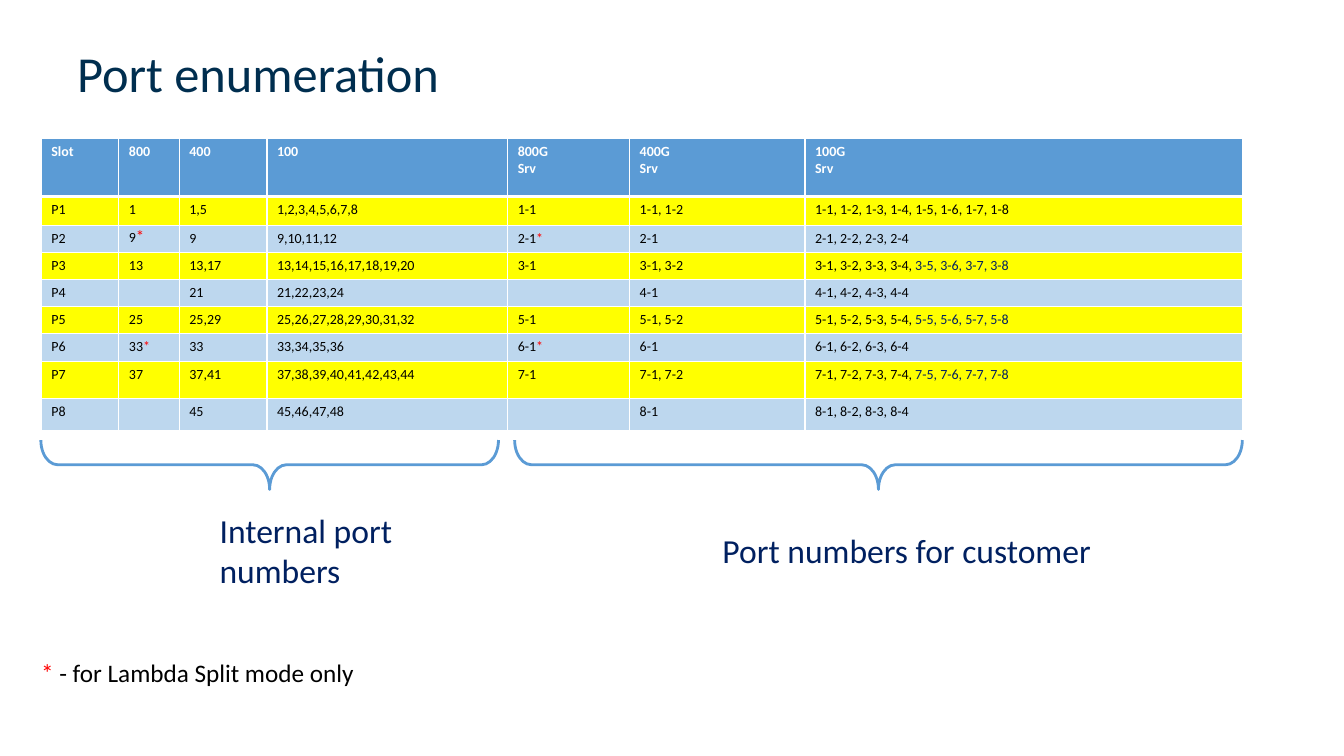
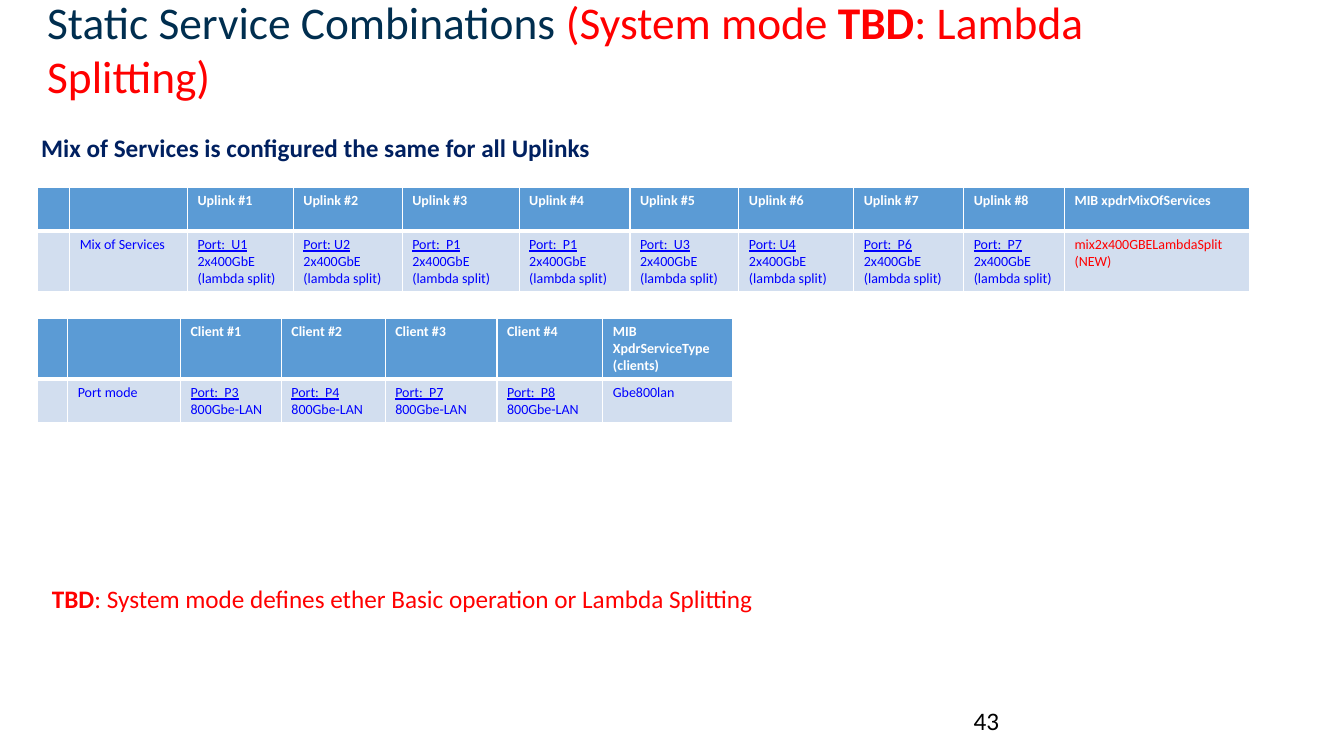
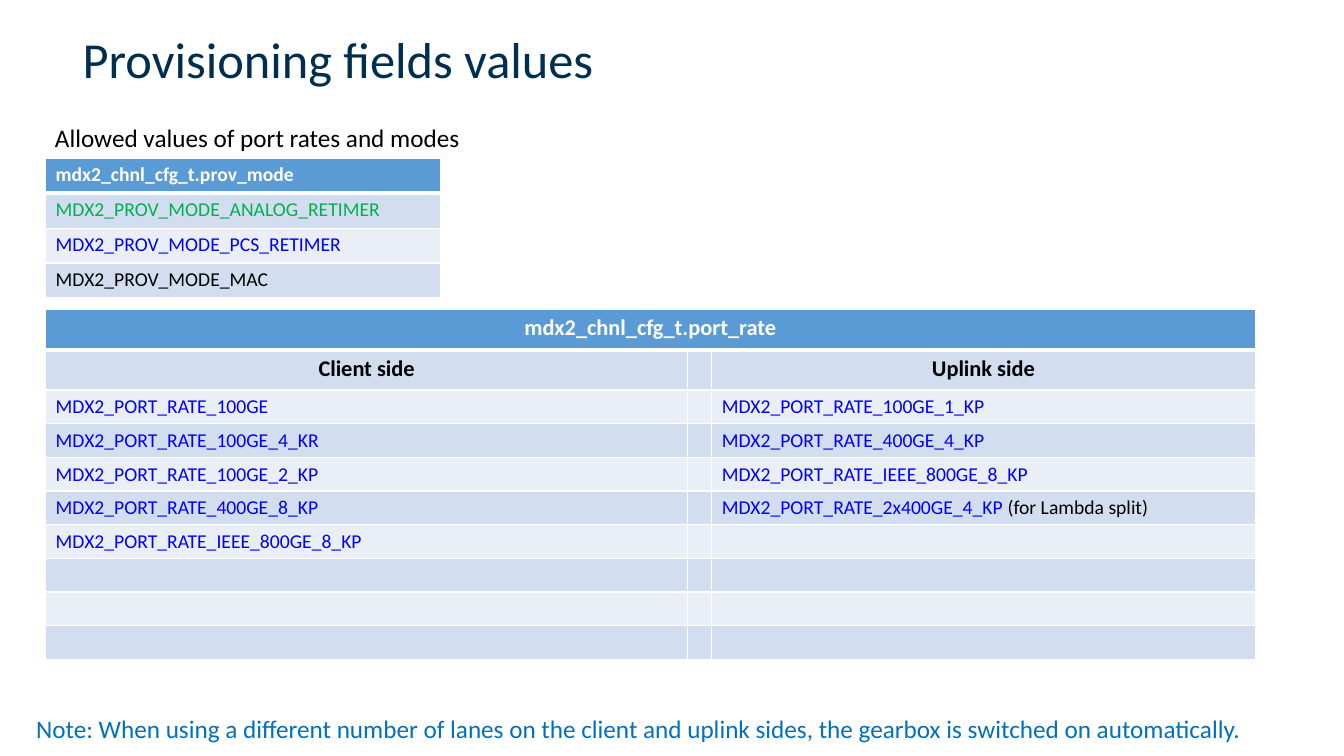
import lxml.etree
import pptx
import pptx.dml.color
import pptx.enum.shapes
import pptx.enum.text
import pptx.oxml.ns
import pptx.util

Pt = pptx.util.Pt
qn = pptx.oxml.ns.qn
PP_ALIGN = pptx.enum.text.PP_ALIGN
MSO_ANCHOR = pptx.enum.text.MSO_ANCHOR

FONT = "Calibri"
WHITE, BLACK, RED, GREEN = "FFFFFF", "000000", "FF0000", "00B050"
TITLE, NAVY, LINK, NOTE = "002E4F", "002060", "0000FF", "0070C0"
HEADER, BAND_DARK, BAND_LIGHT = "5B9BD5", "D2DEEF", "EAEFF7"
YELLOW, SKY = "FFFF00", "BDD7EE"


def rgb(value):
    return pptx.dml.color.RGBColor.from_string(value)


def write_text(tf, paragraphs, size=18, color=BLACK, bold=False, underline=False,
               align=PP_ALIGN.LEFT, spacing=None):
    """A paragraph is a string or a list of runs; a run is a string or (string, overrides)."""
    if isinstance(paragraphs, str):
        paragraphs = [paragraphs]
    for i, runs in enumerate(paragraphs):
        p = tf.paragraphs[0] if i == 0 else tf.add_paragraph()
        p.alignment = align
        if spacing:
            p.line_spacing = Pt(spacing)
        for run in [runs] if isinstance(runs, str) else runs:
            text, extra = (run, {}) if isinstance(run, str) else run
            if not text:
                lxml.etree.SubElement(p._p, qn("a:endParaRPr"), sz=str(size * 100))
                continue
            fmt = {"size": size, "color": color, "bold": bold, "underline": underline, **extra}
            r = p.add_run()
            r.text = text
            r.font.name = FONT
            r.font.size = Pt(fmt["size"])
            r.font.bold = fmt["bold"]
            r.font.underline = fmt["underline"]
            r.font.color.rgb = rgb(fmt["color"])


def add_text(s, x, y, w, h, paragraphs, wrap=False, fill=None, anchor=MSO_ANCHOR.TOP, **fmt):
    sp = s.shapes.add_textbox(Pt(x), Pt(y), Pt(w), Pt(h))
    tf = sp.text_frame
    tf.word_wrap = wrap
    tf.vertical_anchor = anchor
    if fill:
        sp.fill.solid()
        sp.fill.fore_color.rgb = rgb(fill)
    write_text(tf, paragraphs, **fmt)


def add_title(s, x, y, w, h, runs, size=36):
    add_text(s, x, y, w, h, [runs], wrap=True, anchor=MSO_ANCHOR.MIDDLE, size=size, color=TITLE)


def set_border(cell, side, width):
    ln = lxml.etree.SubElement(cell._tc.get_or_add_tcPr(), qn("a:ln" + side),
                               w=str(Pt(width)))
    fill = lxml.etree.SubElement(ln, qn("a:solidFill"))
    lxml.etree.SubElement(fill, qn("a:srgbClr"), val=WHITE)


def add_table(s, x, y, widths, heights, rows):
    """Each row is (fill, text format, cell texts); the first is ruled off by a thick line."""
    table = s.shapes.add_table(len(rows), len(widths), Pt(x), Pt(y),
                               Pt(sum(widths)), Pt(sum(heights))).table
    table.first_row = table.horz_banding = False
    for column, width in zip(table.columns, widths):
        column.width = Pt(width)
    for i, (fill, fmt, texts) in enumerate(rows):
        table.rows[i].height = Pt(heights[i])
        for j, text in enumerate(texts):
            cell = table.cell(i, j)
            set_border(cell, "L", 1)
            set_border(cell, "R", 1)
            if i == 0:
                set_border(cell, "T", 1)
            set_border(cell, "B", 3 if i == 0 else 1)
            cell.fill.solid()
            cell.fill.fore_color.rgb = rgb(fill)
            write_text(cell.text_frame, text, **fmt)
    return table


def add_bottom_brace(s, x, y, w, h):
    """A brace that lies under the area from x to x + w and points down."""
    sp = s.shapes.add_shape(pptx.enum.shapes.MSO_SHAPE.LEFT_BRACE, Pt(x + (w - h) / 2),
                            Pt(y + (h - w) / 2), Pt(h), Pt(w))
    sp.rotation = 270
    sp.adjustments[0] = 0.34
    sp.adjustments[1] = 0.5
    sp.shadow.inherit = False
    sp.fill.background()
    sp.line.color.rgb = rgb(HEADER)
    sp.line.width = Pt(2)


def header_format(size, **extra):
    return {"size": size, "color": WHITE, "bold": True, **extra}


def port_row(slot, first):
    """Odd slots have eight 100G ports, even slots four; slots 2 and 6 run 800G in split mode."""
    odd = slot % 2 == 1
    count = 8 if odd else 4
    star = {"color": RED}
    if odd:
        internal_800, service_800 = str(first), f"{slot}-1"
    elif slot % 4 == 2:
        internal_800 = [[str(first), ("*", {**star, "size": 12} if slot == 2 else star)]]
        service_800 = [[f"{slot}-1", ("*", star)]]
    else:
        internal_800 = service_800 = ""
    ports = range(first, first + count)
    services = [f"{slot}-{n}" for n in range(1, count + 1)]
    services_100 = ", ".join(services)
    if odd and slot > 1:
        services_100 = [[", ".join(services[:4]) + ", ",
                         (", ".join(services[4:]), {"color": NAVY})]]
    cells = [f"P{slot}", internal_800, ",".join(map(str, ports[::4])), ",".join(map(str, ports)),
             service_800, ", ".join(services[:count // 4]), services_100]
    return YELLOW if odd else SKY, {"size": 10, "spacing": 12}, cells


def port_enumeration(s):
    add_title(s, 48, 16, 748, 71, ["Port enumeration"])
    headings = ["Slot", "800", "400", "100"] + [[rate, "Srv"] for rate in ("800G", "400G", "100G")]
    rows = [(HEADER, header_format(10, spacing=12), headings)]
    first = 1
    for slot in range(1, 9):
        rows.append(port_row(slot, first))
        first += 8 if slot % 2 else 4
    add_table(s, 29.5, 98.8, [55.4, 43.2, 62.6, 172, 87.1, 125.3, 312.5],
              [41.6, 20.6, 18.8, 19.4, 19.6, 19.2, 20, 26.4, 23], rows)
    for x, w in ((29.2, 326.9), (367.6, 519.8)):
        add_bottom_brace(s, x, 314.3, w, 35.3)
    label = {"size": 24, "color": NAVY, "fill": WHITE}
    add_text(s, 149.8, 360.7, 144, 65.5, ["Internal port", "numbers"], **label)
    add_text(s, 509, 375, 280, 36, "Port numbers for customer", **label)
    add_text(s, 22.3, 465.8, 240.5, 29, [[("*", {"color": RED}), " - for Lambda Split mode only"]])


def service_table(s, y, widths, heights, headings, cells):
    add_table(s, 26.8, y, widths, heights,
              [(HEADER, header_format(10), ["", "", *headings]),
               (BAND_DARK, {"size": 10, "color": LINK}, ["", *cells])])


def port_cell(port, mode):
    return [[(port, {"underline": True})], mode]


def service_combinations(s):
    add_text(s, 688.3, 500.4, 224, 29, "43", wrap=True)
    add_title(s, 26.6, 10.8, 874, 47.5,
              ["Static Service Combinations ", ("(System mode ", {"color": RED}),
               ("TBD", {"color": RED, "bold": True}), (": Lambda Splitting)", {"color": RED})],
              size=32.4)
    uplinks = ["Port:  U1", "Port: U2", "Port:  P1", "Port:  P1",
               "Port:  U3", "Port: U4", "Port:  P6", "Port:  P7"]
    service_table(s, 134, [23, 84.2, 75.6, 77.8, 83.5, 79.2, 77.8, 82.1, 78.5, 72, 132.5],
                  [31, 43.2],
                  [f"Uplink #{n}" for n in range(1, 9)] + ["MIB xpdrMixOfServices"],
                  ["Mix of Services"] + [port_cell(u, "2x400GbE (lambda split)") for u in uplinks]
                  + [[[(line, {"color": RED})] for line in ("mix2x400GBELambdaSplit", "(NEW)")]])
    clients = ["Port:  P3", "Port:  P4", "Port:  P7", "Port:  P8"]
    service_table(s, 227.5, [21.6, 80.6, 72, 74.2, 79.9, 75.6, 92.9], [43.2, 31],
                  [f"Client #{n}" for n in range(1, 5)] + ["MIB XpdrServiceType (clients)"],
                  ["Port mode"] + [port_cell(c, "800Gbe-LAN") for c in clients] + ["Gbe800lan"])
    add_text(s, 30, 413.3, 522, 29,
             [[("TBD", {"bold": True}),
               ": System mode defines ether Basic operation or Lambda Splitting"]], color=RED)
    add_text(s, 22.3, 90.7, 414, 29, "Mix of Services is configured the same for all Uplinks",
             color=NAVY, bold=True)


def provisioning_values(s):
    add_title(s, 52, 6.5, 788, 71, ["Provisioning fields values"])
    add_text(s, 32.2, 83.5, 306.7, 29, "Allowed values of port rates and modes")
    modes = [("ANALOG_RETIMER", GREEN), ("PCS_RETIMER", LINK), ("MAC", BLACK)]
    bands = [BAND_DARK, BAND_LIGHT] * 5
    add_table(s, 32.6, 113, [282], [25] * 4,
              [(HEADER, header_format(14), ["mdx2_chnl_cfg_t.prov_mode"])]
              + [(band, {"size": 14, "color": color}, ["MDX2_PROV_MODE_" + mode])
                 for band, (mode, color) in zip(bands, modes)])
    rates = [("100GE", "100GE_1_KP"), ("100GE_4_KR", "400GE_4_KP"),
             ("100GE_2_KP", "IEEE_800GE_8_KP"), ("400GE_8_KP", "2x400GE_4_KP "),
             ("IEEE_800GE_8_KP", ""), ("", ""), ("", ""), ("", "")]
    rate_cells = [[rate and "MDX2_PORT_RATE_" + rate for rate in (client, "", uplink)]
                  for client, uplink in rates]
    rate_cells[3][2] = [[rate_cells[3][2], ("(for Lambda split)", {"color": BLACK})]]
    rows = [(HEADER, header_format(16, align=PP_ALIGN.CENTER),
             ["mdx2_chnl_cfg_t.port_rate", "", ""]),
            (BAND_DARK, {"size": 16, "bold": True, "align": PP_ALIGN.CENTER},
             ["Client side", "", "Uplink side"])]
    rows += [(band, {"size": 14, "color": LINK}, cells)
             for band, cells in zip(bands[1:], rate_cells)]
    table = add_table(s, 32.6, 221, [458.6, 16.8, 388.1], [28.8] * 2 + [24] * 8, rows)
    table.cell(0, 0).merge(table.cell(0, 2))
    add_text(s, 18.7, 506, 907, 29,
             "Note: When using a different number of lanes on the client and uplink sides, "
             "the gearbox is switched on automatically.", wrap=True, color=NOTE)


def main():
    prs = pptx.Presentation()
    prs.slide_width, prs.slide_height = Pt(960), Pt(540)
    for build in (port_enumeration, service_combinations, provisioning_values):
        build(prs.slides.add_slide(prs.slide_layouts[6]))
    prs.save("out.pptx")


if __name__ == "__main__":
    main()
